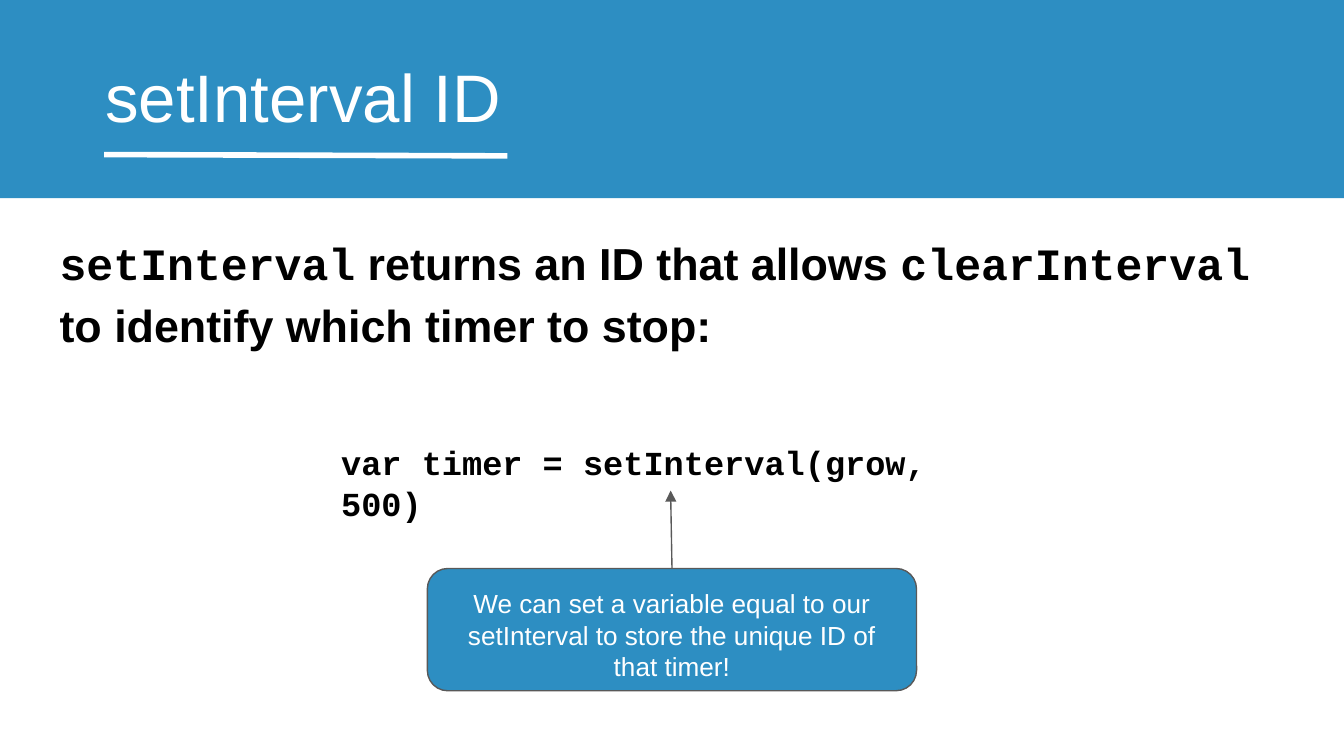
from dataclasses import dataclass

from lxml import etree
from pptx import Presentation
from pptx import util as u
from pptx.dml.color import RGBColor
from pptx.enum import shapes, text
from pptx.oxml import ns

PX = 4572  # 200 px to the inch
INSET = 20
BLUE = RGBColor(0x2D, 0x8E, 0xC2)
WHITE = RGBColor(0xFF, 0xFF, 0xFF)
BLACK = RGBColor(0, 0, 0)
GREY = RGBColor(0x59, 0x59, 0x59)
SANS, MONO = "Arial", "Courier New"


@dataclass(frozen=True)
class Area:
    left: int
    top: int
    width: int
    height: int

    def emu(self) -> list[u.Emu]:
        return [px(n) for n in (self.left, self.top, self.width, self.height)]


@dataclass(frozen=True)
class Style:
    size: int
    color: RGBColor
    bold: bool = False
    spacing: float = 1.0
    align: text.PP_ALIGN = text.PP_ALIGN.LEFT


@dataclass(frozen=True)
class Span:
    words: str
    font: str


def px(length: int) -> u.Emu:
    return u.Emu(length * PX)


def write(box, spans: list[Span], style: Style) -> None:
    frame = box.text_frame
    frame.word_wrap = True
    frame.vertical_anchor = text.MSO_ANCHOR.TOP
    frame.margin_left = frame.margin_right = px(INSET)
    frame.margin_top = frame.margin_bottom = px(INSET)
    para = frame.paragraphs[0]
    para.alignment = style.align
    para.line_spacing = style.spacing
    for span in spans:
        run = para.add_run()
        run.text = span.words
        run.font.name = span.font
        run.font.size = u.Pt(style.size)
        run.font.bold = style.bold
        run.font.color.rgb = style.color


def add_text(page, area: Area, spans: list[Span], style: Style) -> None:
    write(page.shapes.add_textbox(*area.emu()), spans, style)


def add_panel(page, kind: shapes.MSO_SHAPE, area: Area):
    panel = page.shapes.add_shape(kind, *area.emu())
    panel.shadow.inherit = False
    panel.fill.solid()
    panel.fill.fore_color.rgb = BLUE
    panel.line.fill.background()
    return panel


def add_line(page, start: tuple[int, int], end: tuple[int, int],
             color: RGBColor, weight: float):
    line = page.shapes.add_connector(
        shapes.MSO_CONNECTOR.STRAIGHT, *[px(n) for n in start + end])
    line.line.color.rgb = color
    line.line.width = u.Pt(weight)
    etree.SubElement(line._element.spPr, ns.qn("a:effectLst"))
    return line


def main() -> None:
    deck = Presentation()
    deck.slide_width, deck.slide_height = px(2000), px(1125)
    page = deck.slides.add_slide(deck.slide_layouts[6])

    # Header band with underlined title
    add_panel(page, shapes.MSO_SHAPE.RECTANGLE, Area(0, 0, 2000, 295))
    add_line(page, (155, 230), (755, 232), WHITE, 3)
    add_text(page, Area(137, 62, 1863, 126),
             [Span("setInterval ID", SANS)], Style(36, WHITE))

    # Explanation
    add_text(page, Area(69, 319, 1864, 148), [
        Span("setInterval", MONO),
        Span(" returns an ID that allows ", SANS),
        Span("clearInterval", MONO),
        Span(" to identify which timer to stop:", SANS),
    ], Style(24, BLACK, bold=True, spacing=1.15))

    # Code example
    add_text(page, Area(488, 638, 1026, 144),
             [Span("var timer = setInterval(grow, 500)", MONO)],
             Style(18, BLACK, bold=True))

    # Callout with an arrow to the code
    callout = add_panel(page, shapes.MSO_SHAPE.ROUNDED_RECTANGLE,
                        Area(636, 846, 728, 182))
    callout.line.color.rgb = GREY
    callout.line.width = u.Pt(0.75)
    write(callout, [Span("We can set a variable equal to our setInterval "
                         "to store the unique ID of that timer!", SANS)],
          Style(14, WHITE, align=text.PP_ALIGN.CENTER))
    arrow = add_line(page, (1000, 846), (998, 730), GREY, 0.75)
    arrow.begin_connect(callout, 0)
    etree.SubElement(arrow.line._get_or_add_ln(), ns.qn("a:tailEnd"),
                     type="triangle")

    deck.save("out.pptx")


if __name__ == "__main__":
    main()
